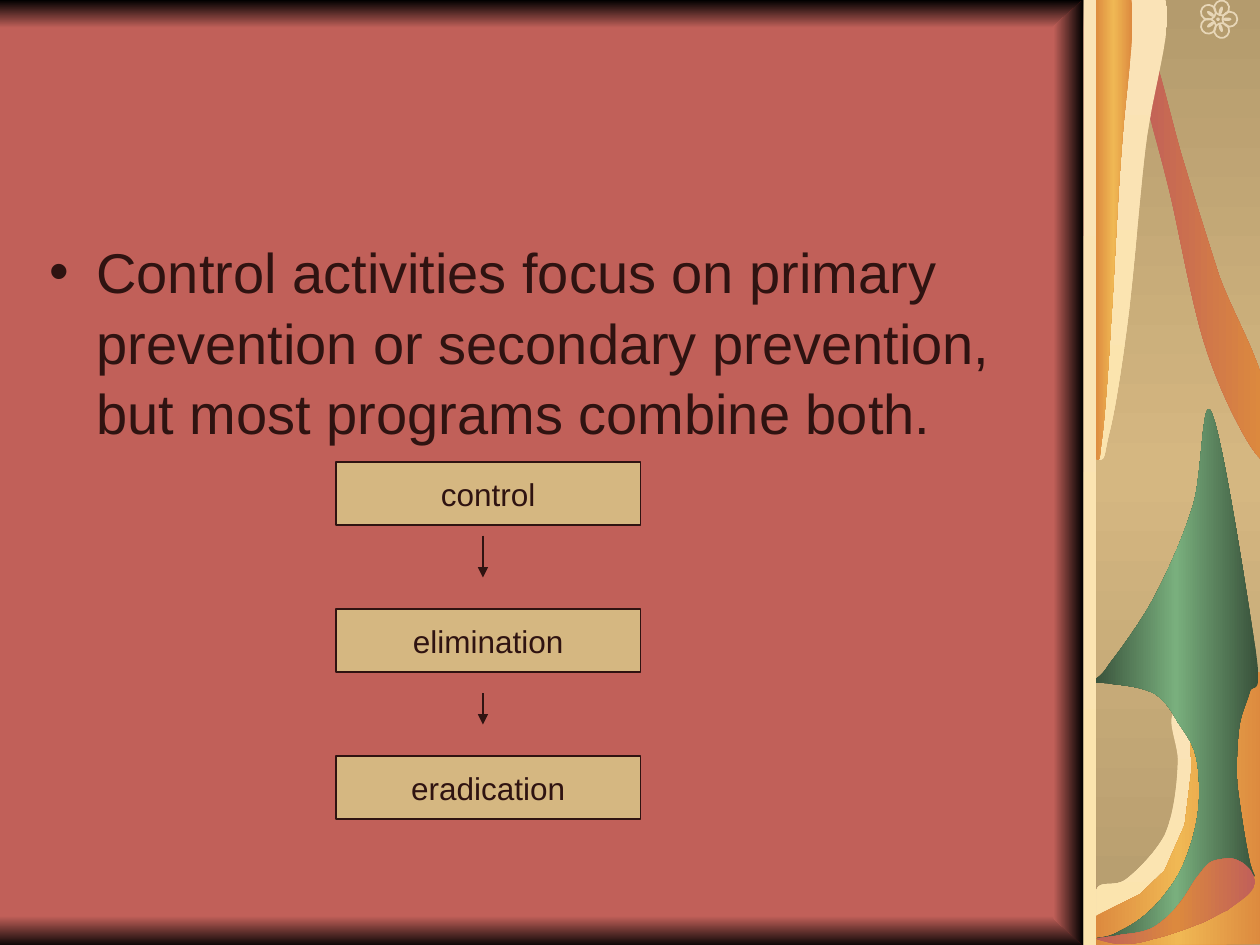
from math import cos, radians, sin

from lxml.etree import SubElement
from pptx import Presentation
from pptx.dml.color import RGBColor
from pptx.enum.shapes import MSO_CONNECTOR as CONNECTOR, MSO_SHAPE as SHAPE
from pptx.enum.text import MSO_ANCHOR as ANCHOR, PP_ALIGN as ALIGN
from pptx.oxml.ns import qn
from pptx.util import Pt

FONT = "Arial"
COLORS = {
    "red": "C16059", "ink": "2F1311", "sand": "D5B781", "dark_sand": "B49B6D",
    "black": "000000", "cream": "FAE3B7", "pale": "FBE4AE", "orange": "DC893E",
    "gold": "F0B854", "green": "79AF7D", "dark_green": "38513A",
    "flower": "E7D6B7",
}
ACROSS, DOWN = 0, 90
CREAM = ("cream", "pale")
ORANGE = ("orange", "gold", "orange")

# Outlines: a start point, then lines (x, y) and Bezier curves (three points)
CREAM_FOOT = [
    (672.5, 406), (664.5, 410, 674.5, 426, 673, 438),
    (672.5, 450, 670.5, 466.5, 665.5, 477.5), (660, 487.5, 650, 497.5, 643.5, 502.5),
    (637, 507.5, 629, 502.5, 626.5, 508.5), (626.5, 539.5), (720, 539.5),
    (720, 409), (712, 386.5, 682.5, 406, 672.5, 406),
]
ORANGE_FOOT = [
    (625, 540), (625, 524), (651.5, 511), (665.5, 497.5), (677, 471.5),
    (681, 439), (679.5, 414.5), (710.5, 382.5), (721.5, 384.5), (721.5, 539.5),
]
GREEN_PLANT = [
    (692.5, 236), (687, 222, 687, 271.5, 682, 288),
    (677, 304.5, 669.5, 322, 661.5, 337.5), (654, 353, 640, 371.5, 633.5, 380),
    (628, 389, 624, 387.5, 625, 389.5), (625, 391, 630.5, 389.5, 636.5, 391),
    (643, 391.5, 654, 393, 660, 396.5), (666, 400.5, 669.5, 406, 673, 412.5),
    (677.5, 419, 682.5, 425.5, 684, 435), (685.5, 444, 686, 456.5, 684, 468),
    (682, 479.5, 677.5, 494, 670.5, 504.5), (663, 515.5, 654, 525.5, 640, 532),
    (632, 537, 625.5, 535, 627, 536.5), (628.5, 537, 641, 540, 648.5, 538.5),
    (656.5, 537, 666.5, 533.5, 672.5, 528.5), (679, 524, 682.5, 515, 687, 509),
    (691, 504, 695, 499, 699, 497), (702.5, 494.5, 708, 496, 710.5, 497),
    (714, 497.5, 716.5, 502, 717, 500.5), (717, 499.5, 715, 497.5, 713.5, 489),
    (711.5, 480, 708.5, 460, 707, 448), (706.5, 435.5, 707, 425.5, 708, 417),
    (709, 408, 712, 403, 714, 396), (715.5, 389, 721.5, 400.5, 718, 374.5),
    (714, 348.5, 699, 250.5, 692.5, 236),
]
RED_LEAF = [
    (658, 29), (662.5, 36.5, 669, 67.5, 675.5, 89.5),
    (682, 111, 690, 137, 697, 158.5), (705, 179.5, 717, 200, 721.5, 217.5),
    (721.5, 263), (715.5, 260, 698.5, 227.5, 690, 201.5),
    (681, 175.5, 674.5, 134.5, 668, 108), (661.5, 81.5, 653, 54.5, 651.5, 42),
    (649.5, 29, 654.5, 21, 658, 29),
]
CREAM_TOP = [
    (625.5, 262), (632, 264, 630.5, 262, 633.5, 249),
    (637, 236, 641, 210, 644.5, 183), (648, 155.5, 651, 115, 654.5, 85),
    (658, 54, 671, 14.5, 666, 0), (625.5, 0),
]
ORANGE_TOP = [
    (625.5, 262), (629.5, 264, 628, 262, 630, 249),
    (631.5, 236, 633.5, 210, 635, 183), (637, 155.5, 638.5, 115, 641, 85),
    (643, 54.5, 649.5, 14.5, 646.5, 0), (625.5, 0),
]
RED_PETAL = [
    (626.5, 536.5), (626.5, 535.5, 636, 535.5, 641, 534),
    (646.5, 533.5, 653, 533, 659, 530), (664, 527, 669.5, 522, 673, 517.5),
    (677.5, 512.5, 680.5, 506, 683.5, 502), (687, 497.5, 689, 494.5, 692, 492.5),
    (695.5, 491, 700, 490.5, 703.5, 490.5), (706.5, 491, 708, 492, 710, 493),
    (712, 494.5, 715, 497, 715.5, 499), (717, 501, 718.5, 504.5, 715.5, 508.5),
    (713.5, 512, 706.5, 516, 701.5, 520), (695.5, 522.5, 690, 526.5, 683.5, 528.5),
    (676, 531.5, 666, 535, 659, 536.5), (652.5, 538.5, 647.5, 539.5, 641.5, 539.5),
    (636, 539.5, 627, 537, 626.5, 536.5),
]
RIGHT_EDGE = [(619, 0), (602, 15), (602, 525), (619, 540)]


def flatten(outline, steps=12):
    """Turn lines and cubic curves into a list of points."""
    points = [outline[0]]
    for segment in outline[1:]:
        if len(segment) == 2:
            points.append(segment)
            continue
        corners = [points[-1], segment[:2], segment[2:4], segment[4:]]
        for step in range(1, steps + 1):
            t = step / steps
            weights = ((1 - t) ** 3, 3 * t * (1 - t) ** 2, 3 * t * t * (1 - t), t ** 3)
            points.append(tuple(sum(w * corner[axis] for w, corner in zip(weights, corners))
                                for axis in (0, 1)))
    return points


class SlideBuilder:
    def __init__(self, slide):
        self.slide = slide
        self.shapes = slide.shapes

    def color(self, name):
        return RGBColor.from_string(COLORS[name])

    def paint(self, shape, fill=None, line=None, line_width=0.75, angle=DOWN):
        """Fill with nothing, one colour or a gradient of several."""
        shape.shadow.inherit = False
        if fill is None:
            shape.fill.background()
        elif isinstance(fill, str):
            shape.fill.solid()
            shape.fill.fore_color.rgb = self.color(fill)
        else:
            shape.fill.gradient()
            gradient = shape._element.spPr.find(qn("a:gradFill"))
            for child in list(gradient):
                gradient.remove(child)
            stops = SubElement(gradient, qn("a:gsLst"))
            for index, name in enumerate(fill):
                position = str(100000 * index // (len(fill) - 1))
                stop = SubElement(stops, qn("a:gs"), pos=position)
                SubElement(stop, qn("a:srgbClr"), val=COLORS[name])
            SubElement(gradient, qn("a:lin"), ang=str(angle * 60000), scaled="0")
        if line:
            shape.line.color.rgb = self.color(line)
            shape.line.width = Pt(line_width)
        else:
            shape.line.fill.background()

    def preset(self, kind, left, top, width, height, fill=None, **style):
        shape = self.shapes.add_shape(kind, Pt(left), Pt(top), Pt(width), Pt(height))
        self.paint(shape, fill, **style)
        return shape

    def freeform(self, outline, fill, angle=ACROSS):
        points = [(Pt(x), Pt(y)) for x, y in flatten(outline)]
        builder = self.shapes.build_freeform(*points[0])
        builder.add_line_segments(points[1:], close=True)
        self.paint(builder.convert_to_shape(), fill, angle=angle)

    def style_text(self, paragraph, size):
        paragraph.font.name = FONT
        paragraph.font.size = Pt(size)
        paragraph.font.color.rgb = self.color("ink")

    def box(self, text, left, top, width, height):
        shape = self.preset(SHAPE.RECTANGLE, left, top, width, height, "sand", line="ink")
        frame = shape.text_frame
        frame.word_wrap = False
        frame.vertical_anchor = ANCHOR.MIDDLE
        paragraph = frame.paragraphs[0]
        paragraph.text = text
        paragraph.alignment = ALIGN.CENTER
        self.style_text(paragraph, 18)

    def bullet(self, text, left, top, width, height):
        frame = self.shapes.add_textbox(Pt(left), Pt(top), Pt(width), Pt(height)).text_frame
        frame.word_wrap = True
        frame.margin_top = Pt(8)
        paragraph = frame.paragraphs[0]
        paragraph.text = text
        paragraph.line_spacing = 1.05
        properties = paragraph._p.get_or_add_pPr()
        properties.set("marL", str(Pt(27)))
        properties.set("indent", str(-Pt(27)))
        SubElement(properties, qn("a:buFont"), typeface=FONT)
        SubElement(properties, qn("a:buChar"), char="•")
        self.style_text(paragraph, 32)

    def arrow(self, x, top, bottom):
        line = self.shapes.add_connector(CONNECTOR.STRAIGHT, Pt(x), Pt(top), Pt(x), Pt(bottom))
        line.line.color.rgb = self.color("ink")
        line.line.width = Pt(0.75)
        SubElement(line._element.spPr.find(qn("a:ln")), qn("a:tailEnd"), type="triangle")
        SubElement(line._element.spPr, qn("a:effectLst"))

    def flower(self, x, y):
        def oval(radius, angle, length, breadth, **style):
            center_x = x + radius * cos(radians(angle))
            center_y = y + radius * sin(radians(angle))
            shape = self.preset(SHAPE.OVAL, center_x - length / 2, center_y - breadth / 2,
                                length, breadth, **style)
            shape.rotation = angle

        for angle in range(0, 360, 72):
            oval(6.8, angle, 8.5, 8.5, line="flower", line_width=1)
            oval(5.2, angle, 5, 2, fill="flower")
        oval(0, 0, 2, 2, fill="flower")


def main():
    presentation = Presentation()
    presentation.slide_width, presentation.slide_height = Pt(720), Pt(540)
    slide = presentation.slides.add_slide(presentation.slide_layouts[6])
    builder = SlideBuilder(slide)
    slide.background.fill.solid()
    slide.background.fill.fore_color.rgb = builder.color("red")

    # Shaded edges and side panel
    builder.preset(SHAPE.RECTANGLE, 0, 523.5, 636.5, 18, ("red", "black"))
    builder.preset(SHAPE.RECTANGLE, 0, 0, 636.5, 16, ("black", "red"))
    builder.preset(SHAPE.RECTANGLE, 626.5, 0, 95, 540, ("dark_sand", "sand", "dark_sand"))

    # Plants on the side panel
    builder.flower(696, 11)
    builder.freeform(CREAM_FOOT, CREAM, DOWN)
    builder.freeform(ORANGE_FOOT, ORANGE)
    builder.freeform(GREEN_PLANT, ("dark_green", "green", "dark_green"))
    builder.freeform(RED_LEAF, ("red", "orange"))
    builder.freeform(CREAM_TOP, CREAM, DOWN)
    builder.freeform(ORANGE_TOP, ORANGE)
    builder.preset(SHAPE.RECTANGLE, 619, 0, 7.5, 540, CREAM)
    builder.freeform(RED_PETAL, ("red", "orange", "red"))
    builder.freeform(RIGHT_EDGE, ("red", "black"))

    # Statement
    builder.bullet("Control activities focus on primary prevention or secondary "
                   "prevention, but most programs combine both.", 21, 126, 582, 354)

    # Stages and the arrows between them
    for index, stage in enumerate(("control", "elimination", "eradication")):
        builder.box(stage, 192, 264 + 84 * index, 174, 36)
    for top, bottom in ((306, 330), (396, 414)):
        builder.arrow(276, top, bottom)

    presentation.save("out.pptx")


if __name__ == "__main__":
    main()
